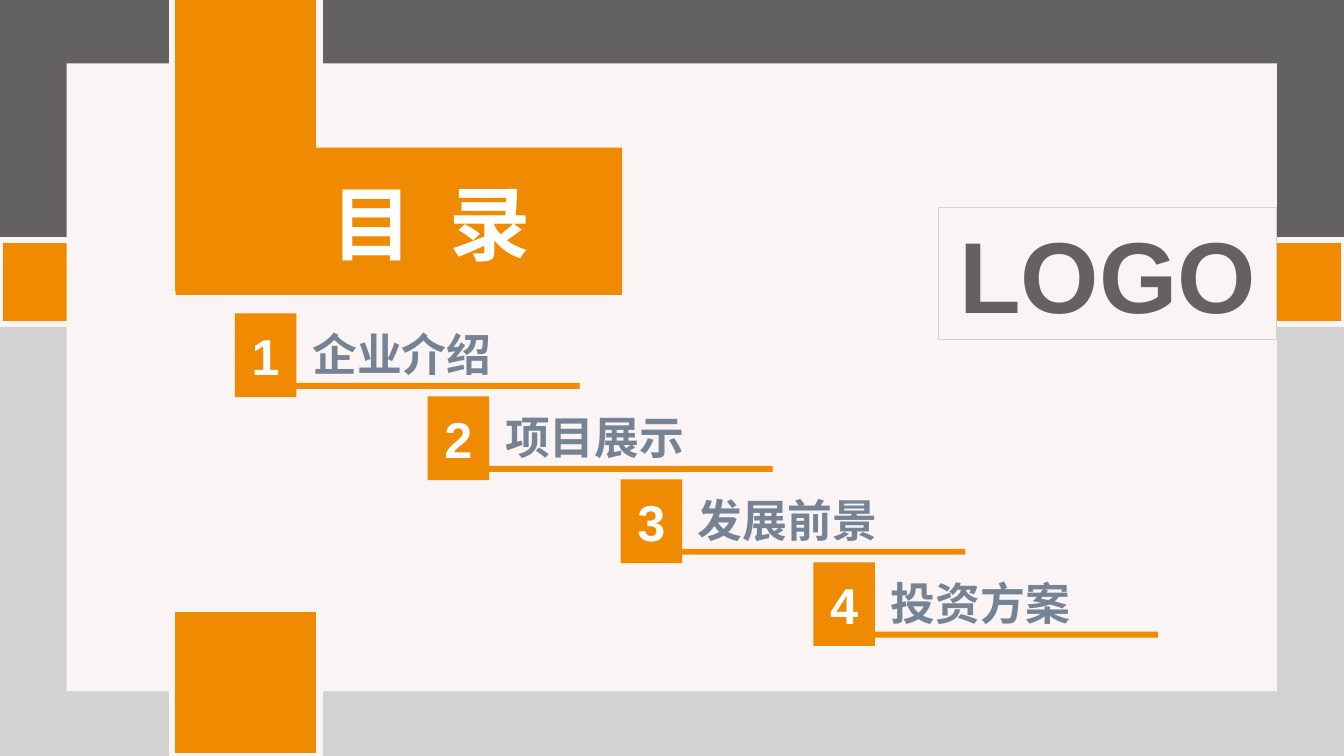
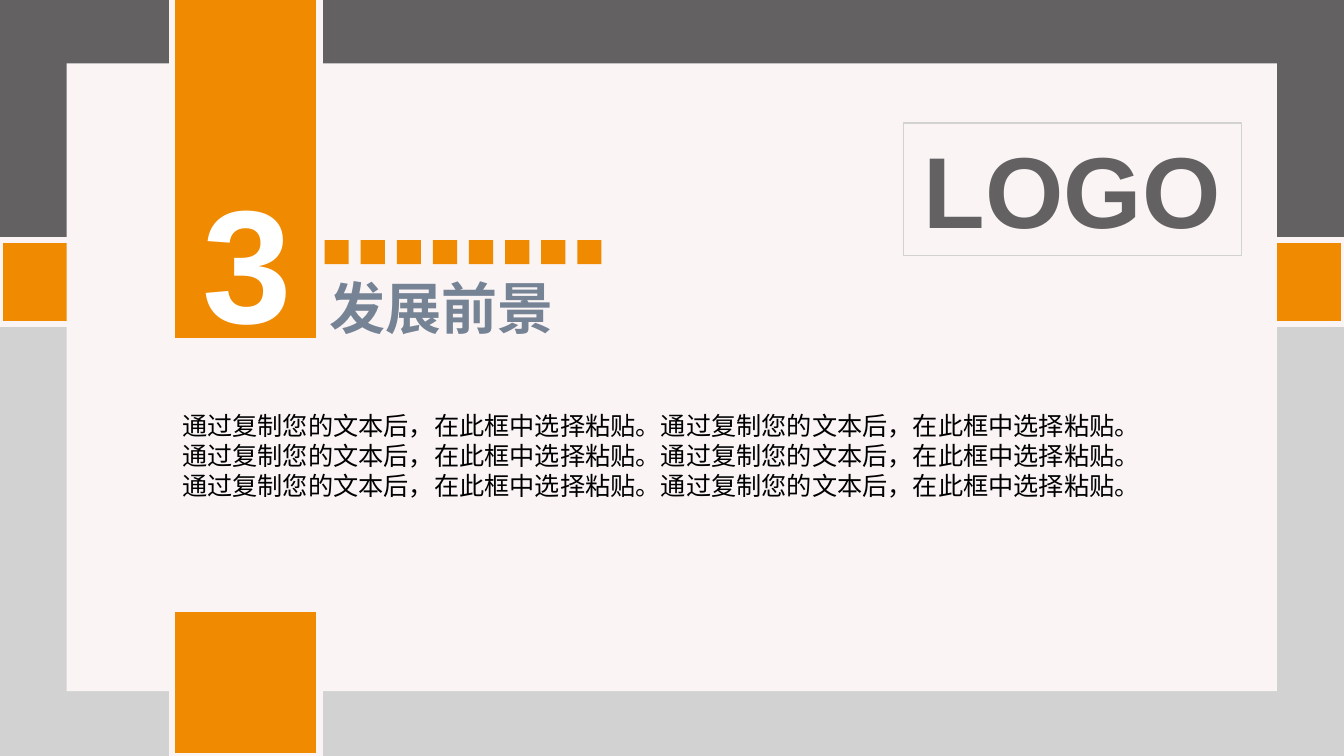
from dataclasses import dataclass

from pptx import Presentation
from pptx.dml.color import RGBColor as Rgb
from pptx.enum.shapes import MSO_SHAPE as Geo
from pptx.enum.text import MSO_ANCHOR as Anchor, PP_ALIGN as Align
from pptx.util import Cm, Pt


@dataclass(frozen=True)
class Theme:
    orange: str = "F08A00"
    dark: str = "636162"
    grey: str = "D2D2D2"
    paper: str = "FAF4F5"
    slate: str = "768395"
    white: str = "FFFFFF"
    black: str = "000000"
    font: str = "Arial"
    body: int = 18
    item: int = 32
    mark: int = 36
    head: int = 40
    title: int = 58
    logo: int = 72
    huge: int = 115


WIDE, HIGH = 33.87, 19.05
SPLIT = 6.15
LEFT, SIDE = 4.34, 3.71


class Deck:
    def __init__(self, theme):
        self.theme = theme
        self.prs = Presentation()
        self.prs.slide_width, self.prs.slide_height = Cm(WIDE), Cm(HIGH)
        self.slide = None

    def rect(self, x, y, w, h, fill=None, line=None, weight=4.5):
        box = self.slide.shapes.add_shape(Geo.RECTANGLE, Cm(x), Cm(y), Cm(w), Cm(h))
        box.shadow.inherit = False
        if fill:
            box.fill.solid()
            box.fill.fore_color.rgb = Rgb.from_string(fill)
        else:
            box.fill.background()
        if line:
            box.line.color.rgb = Rgb.from_string(line)
            box.line.width = Pt(weight)
        else:
            box.line.fill.background()
        return box

    def label(self, box, text, size, color, bold=True, align=Align.LEFT, anchor=Anchor.MIDDLE):
        """Put text in a shape, one paragraph for each line."""
        frame = box.text_frame
        frame.word_wrap = True
        frame.vertical_anchor = anchor
        frame.text = text
        for par in frame.paragraphs:
            par.alignment = align
            font = par.runs[0].font
            font.name, font.size, font.bold = self.theme.font, Pt(size), bold
            font.color.rgb = Rgb.from_string(color)

    def text(self, x, y, w, h, text, **style):
        box = self.slide.shapes.add_textbox(Cm(x), Cm(y), Cm(w), Cm(h))
        self.label(box, text, **style)

    def page(self, logo, pillar):
        """Start a slide with its frame; logo and pillar are (x, y) and (top, height)."""
        t = self.theme
        self.slide = self.prs.slides.add_slide(self.prs.slide_layouts[6])
        self.rect(0, 0, WIDE, SPLIT, t.dark)
        self.rect(0, SPLIT, WIDE, HIGH - SPLIT, t.grey)
        self.rect(0, 6.05, WIDE, 2.11, t.orange, t.paper)
        self.rect(1.68, 1.6, 30.5, 15.82, t.paper)
        sign = self.rect(*logo, 8.53, 3.33, line=t.grey, weight=0.75)
        self.label(sign, "LOGO", size=t.logo, color=t.dark, align=Align.CENTER, anchor=Anchor.TOP)
        top, height = pillar
        self.rect(LEFT, top, SIDE, height, t.orange, t.paper)
        self.rect(LEFT, HIGH - SIDE, SIDE, SIDE, t.orange, t.paper)

    def item(self, x, y, mark, name):
        """Draw a numbered agenda entry with its underline."""
        t = self.theme
        self.rect(x + 0.66, y + 1.75, 8.03, 0.15, t.orange)
        box = self.rect(x, y, 1.55, 2.11, t.orange)
        self.label(box, mark, size=t.mark, color=t.white, align=Align.CENTER)
        self.text(x + 1.7, y + 0.53, 8.03, 0.97, name, size=t.item, color=t.slate)

    def dots(self, x, y, count, side, step):
        for i in range(count):
            self.rect(x + i * step, y, side, side, self.theme.orange)


ITEMS = ["企业介绍", "项目展示", "发展前景", "投资方案"]
PHRASE = "通过复制您的文本后，在此框中选择粘贴。"


def agenda(deck):
    t = deck.theme
    deck.page(logo=(23.65, 5.23), pillar=(-0.33, 7.75))
    deck.rect(4.43, 3.72, 11.25, SIDE, t.orange)
    deck.text(7.14, 4.24, 7.47, 2.74, "目  录", size=t.title, color=t.white,
              align=Align.CENTER, anchor=Anchor.TOP)
    for i, name in enumerate(ITEMS):
        deck.item(5.92 + i * 4.86, 7.9 + i * 2.09, str(i + 1), name)


def section(deck):
    t = deck.theme
    deck.page(logo=(22.76, 3.1), pillar=(-0.43, 9.02))
    deck.text(3.76, 3.96, 4.93, 5.18, "3", size=t.huge, color=t.white,
              align=Align.CENTER, anchor=Anchor.TOP)
    deck.text(8.05, 7.26, 8.03, 0.97, ITEMS[2], size=t.head, color=t.slate)
    deck.dots(8.18, 6.05, count=8, side=0.61, step=0.91)
    deck.text(LEFT, 10.21, 24.59, 2.46, PHRASE * 4 + "\n" + PHRASE * 2, size=t.body,
              color=t.black, bold=False, anchor=Anchor.TOP)


def main():
    deck = Deck(Theme())
    agenda(deck)
    section(deck)
    deck.prs.save("out.pptx")


if __name__ == "__main__":
    main()
